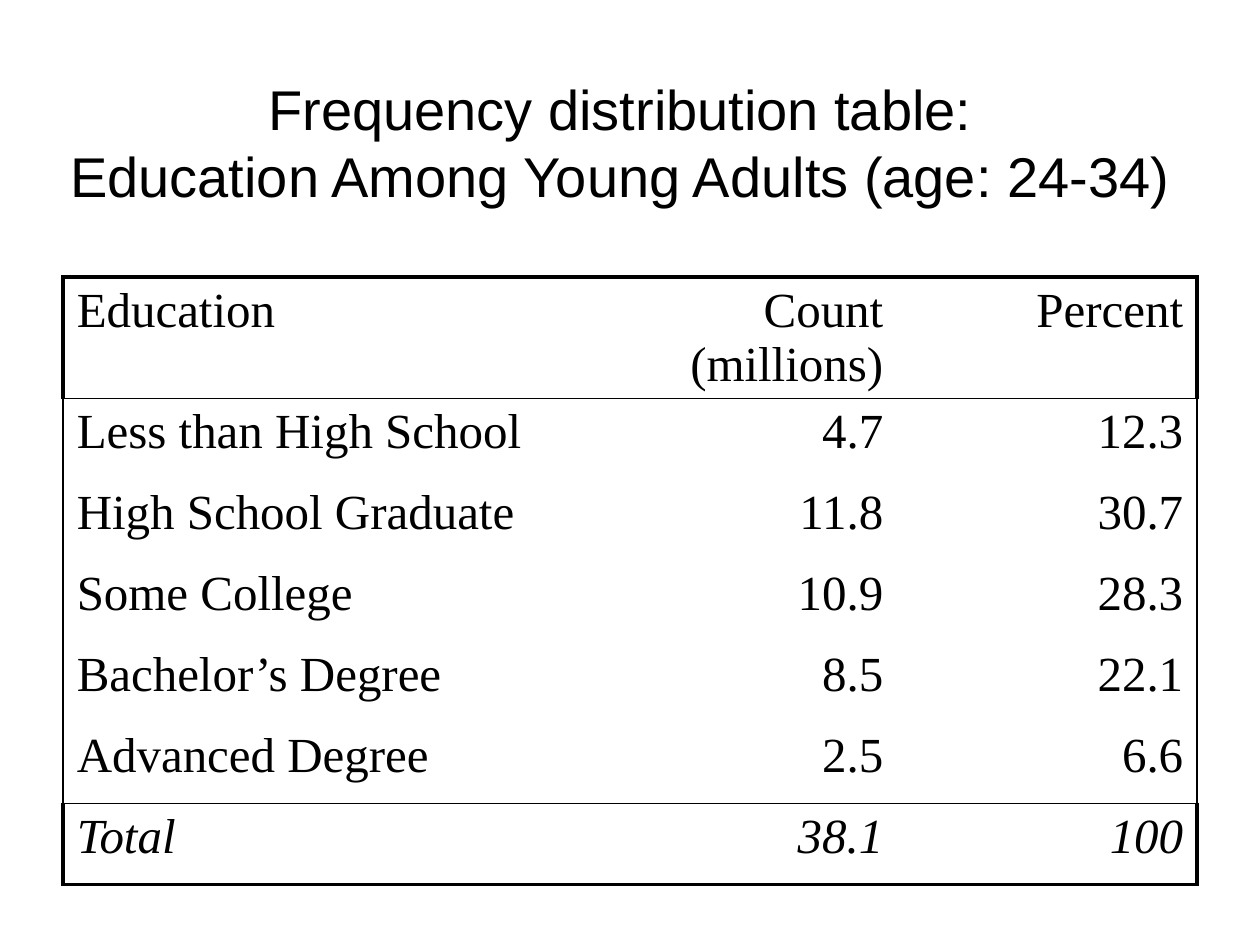
"""Build a slide with a frequency distribution table of education levels."""
from lxml.etree import SubElement
from pptx import Presentation
from pptx.dml.color import RGBColor
from pptx.enum.text import MSO_ANCHOR, MSO_AUTO_SIZE, PP_ALIGN
from pptx.oxml.ns import qn
from pptx.util import Pt

TITLE = "Frequency distribution table: \vEducation Among Young Adults (age: 24-34) "
ROWS = [
    ("Education", "Count (millions)", "Percent"),
    ("Less than High School", "4.7", "12.3"),
    ("High School Graduate", "11.8", "30.7"),
    ("Some College", "10.9", "28.3"),
    ("Bachelor’s Degree", "8.5", "22.1"),
    ("Advanced Degree", "2.5", "6.6"),
    ("Total", "38.1", "100"),
]
COLUMN_WIDTHS = (311, 165.6, 171.4)
ROW_HEIGHT = 46.3
THICK, THIN = 2.25, 1
BLACK = RGBColor(0, 0, 0)


def write(frame, text, font, size, align=PP_ALIGN.LEFT, italic=False):
    paragraph = frame.paragraphs[0]
    paragraph.text = text
    paragraph.alignment = align
    paragraph.space_before = Pt(0)
    for run in paragraph.runs:
        run.font.name = font
        run.font.size = Pt(size)
        run.font.italic = italic
        run.font.color.rgb = BLACK


def set_borders(cell, widths):
    properties = cell._tc.get_or_add_tcPr()
    for position, (tag, width) in enumerate(widths.items()):
        line = properties.makeelement(qn(f"a:{tag}"), {"w": str(Pt(width))})
        properties.insert(position, line)
        if width:
            fill = SubElement(line, qn("a:solidFill"))
            SubElement(fill, qn("a:srgbClr"), val=str(BLACK))
        else:
            SubElement(line, qn("a:noFill"))


def border_widths(row, column):
    last_row, last_column = len(ROWS) - 1, len(COLUMN_WIDTHS) - 1
    side = THICK if row in (0, last_row) else THIN
    return {
        "lnL": side if column == 0 else 0,
        "lnR": side if column == last_column else 0,
        "lnT": THICK if row == 0 else THIN if row in (1, last_row) else 0,
        "lnB": THICK if row == last_row else THIN if row in (0, last_row - 1) else 0,
    }


def add_title(slide):
    title = slide.shapes.title
    title.left, title.top, title.width, title.height = Pt(12), Pt(42), Pt(694), Pt(78)
    frame = title.text_frame
    frame.word_wrap = True
    frame.auto_size = MSO_AUTO_SIZE.NONE
    frame.vertical_anchor = MSO_ANCHOR.MIDDLE
    write(frame, TITLE, "Arial", 32, PP_ALIGN.CENTER)


def add_education_table(slide):
    table = slide.shapes.add_table(
        len(ROWS), len(COLUMN_WIDTHS), Pt(36), Pt(158.4),
        Pt(sum(COLUMN_WIDTHS)), Pt(ROW_HEIGHT * len(ROWS))).table
    table.first_row = table.horz_banding = False
    for column, width in zip(table.columns, COLUMN_WIDTHS):
        column.width = Pt(width)
    for row, values in enumerate(ROWS):
        table.rows[row].height = Pt(ROW_HEIGHT)
        for column, value in enumerate(values):
            cell = table.cell(row, column)
            cell.margin_left = cell.margin_right = Pt(7.9)
            cell.fill.background()
            set_borders(cell, border_widths(row, column))
            write(cell.text_frame, value, "Times New Roman", 28,
                  align=PP_ALIGN.RIGHT if column else PP_ALIGN.LEFT,
                  italic=row == len(ROWS) - 1)


def main():
    presentation = Presentation()
    presentation.slide_width, presentation.slide_height = Pt(720), Pt(540)
    slide = presentation.slides.add_slide(presentation.slide_layouts[5])
    add_title(slide)
    add_education_table(slide)
    presentation.save("out.pptx")


if __name__ == "__main__":
    main()
